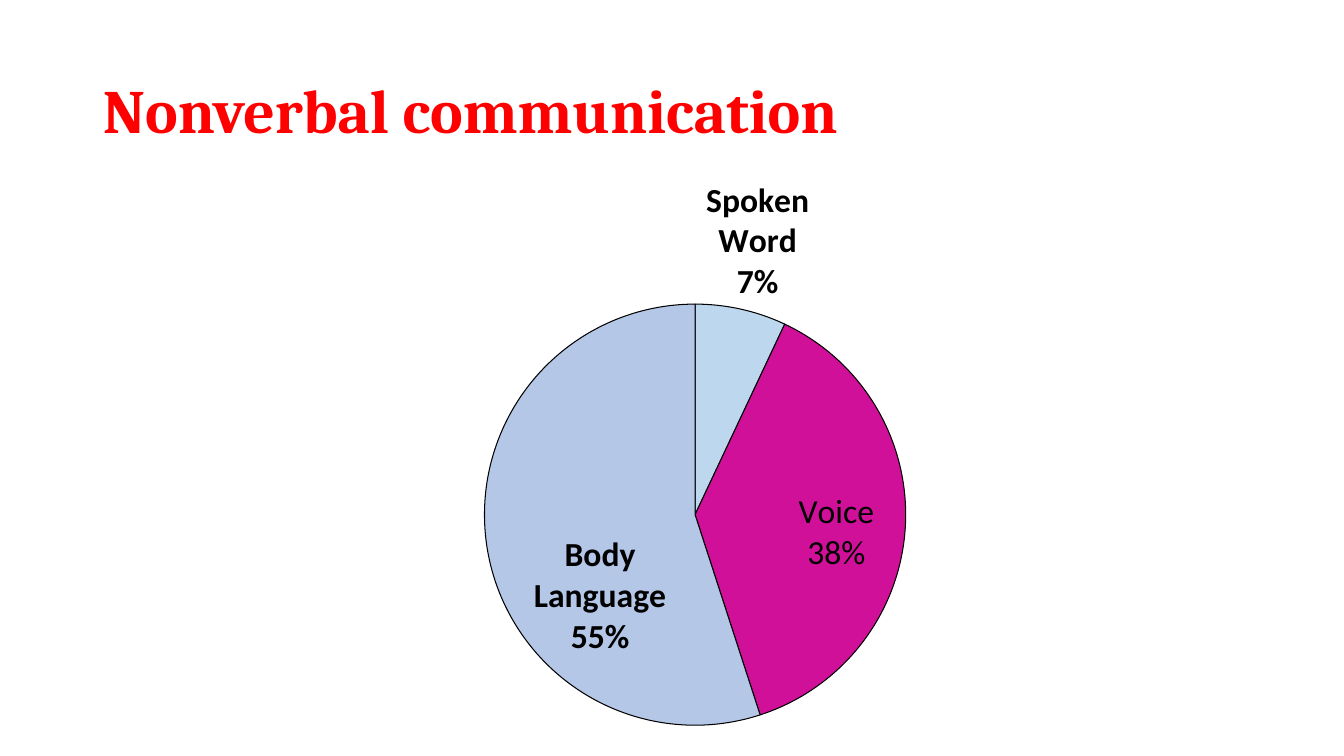
from lxml.etree import SubElement
from pptx import Presentation
from pptx.chart.data import CategoryChartData
from pptx.dml.color import RGBColor
from pptx.enum.chart import XL_CHART_TYPE, XL_LABEL_POSITION
from pptx.enum.text import MSO_ANCHOR
from pptx.oxml import parse_xml
from pptx.oxml.ns import nsdecls, qn
from pptx.util import Inches, Pt

# Content
TITLE = "Nonverbal communication"
BLACK = RGBColor(0x00, 0x00, 0x00)
RED = RGBColor(0xFF, 0x00, 0x00)
OUTSIDE, CENTER = XL_LABEL_POSITION.OUTSIDE_END, XL_LABEL_POSITION.CENTER
# Name, value, fill, bold label, label position, label shift as a share of the chart
SHARES = [
    ("Spoken Word", 7, RGBColor(0xBD, 0xD7, 0xEE), True, OUTSIDE, (-0.04, 0)),
    ("Voice", 38, RGBColor(0xD0, 0x10, 0x99), False, CENTER, (0.04, 0.02)),
    ("Body Language", 55, RGBColor(0xB4, 0xC7, 0xE7), True, CENTER, (0.01, 0.11)),
]
TITLE_AREA = (0.92, 0.4, 11.5, 1.45)
CHART_AREA = (2.14, 1.64, 8.97, 5.86)
PIE_LEFT, PIE_TOP, PIE_SIZE = 4.8, 3.02, 4.18


def format_font(target, *, name, size, color, bold=False):
    target.name, target.size, target.bold = name, Pt(size), bold
    target.color.rgb = color


def write_text(frame, text, *, spacing, **font_format):
    para = frame.paragraphs[0]
    para.line_spacing = spacing
    span = para.add_run()
    span.text = text
    format_font(span.font, **font_format)


def set_layout(parent, position, **settings):
    for previous in parent.findall(qn("c:layout")):
        parent.remove(previous)
    layout = parse_xml(f"<c:layout {nsdecls('c')}><c:manualLayout/></c:layout>")
    for name, value in settings.items():
        SubElement(layout[0], qn(f"c:{name}")).set("val", str(value))
    parent.insert(position, layout)


deck = Presentation()
deck.slide_width, deck.slide_height = Inches(13.33), Inches(7.5)
page = deck.slides.add_slide(deck.slide_layouts[5])

# Title
title = page.shapes.title
title.left, title.top, title.width, title.height = map(Inches, TITLE_AREA)
title.text_frame.vertical_anchor = MSO_ANCHOR.MIDDLE
write_text(title.text_frame, TITLE, spacing=0.9, name="Cambria", size=44, color=RED, bold=True)
title.text_frame.paragraphs[0].alignment = 1

# Pie chart
data = CategoryChartData()
data.categories = [share[0] for share in SHARES]
data.add_series("Series 1", [share[1] for share in SHARES])
chart = page.shapes.add_chart(XL_CHART_TYPE.PIE, *map(Inches, CHART_AREA), data).chart
chart.has_legend = chart.has_title = False
format_font(chart.font, name="Calibri", size=18, color=BLACK)
plot = chart.plots[0]
plot.vary_by_categories = True
series = plot.series[0]
labels = series.data_labels
labels.show_category_name = labels.show_percentage = True
labels.show_value = False
labels.number_format, labels.number_format_is_linked = "0%", False
format_font(labels.font, name="Calibri", size=24, color=BLACK, bold=True)

# Wedges and their labels
for index, (_, _, fill, bold, position, _) in enumerate(SHARES):
    point = series.points[index]
    point.format.fill.solid()
    point.format.fill.fore_color.rgb = fill
    point.format.line.color.rgb = BLACK
    point.format.line.width = Pt(0.75)
    format_font(point.data_label.font, name="Calibri", size=24, color=BLACK, bold=bold)
    point.data_label.position = position

# Label contents, line breaks and shifts
for label, share in zip(chart.element.iter(qn("c:dLbl")), SHARES):
    for flag, value in (("showVal", "0"), ("showCatName", "1"), ("showPercent", "1")):
        label.find(qn(f"c:{flag}")).set("val", value)
    across, down = share[-1]
    set_layout(label, 1, x=across, y=down)
    separator = parse_xml(f"<c:separator {nsdecls('c')}>\n</c:separator>")
    label.find(qn("c:showBubbleSize")).addnext(separator)

# Pie position inside the chart
left, top, width, height = CHART_AREA
set_layout(
    chart.element.find(".//" + qn("c:plotArea")), 0,
    layoutTarget="inner", xMode="edge", yMode="edge",
    x=round((PIE_LEFT - left) / width, 3), y=round((PIE_TOP - top) / height, 3),
    w=round(PIE_SIZE / width, 3), h=round(PIE_SIZE / height, 3))

deck.save("out.pptx")
